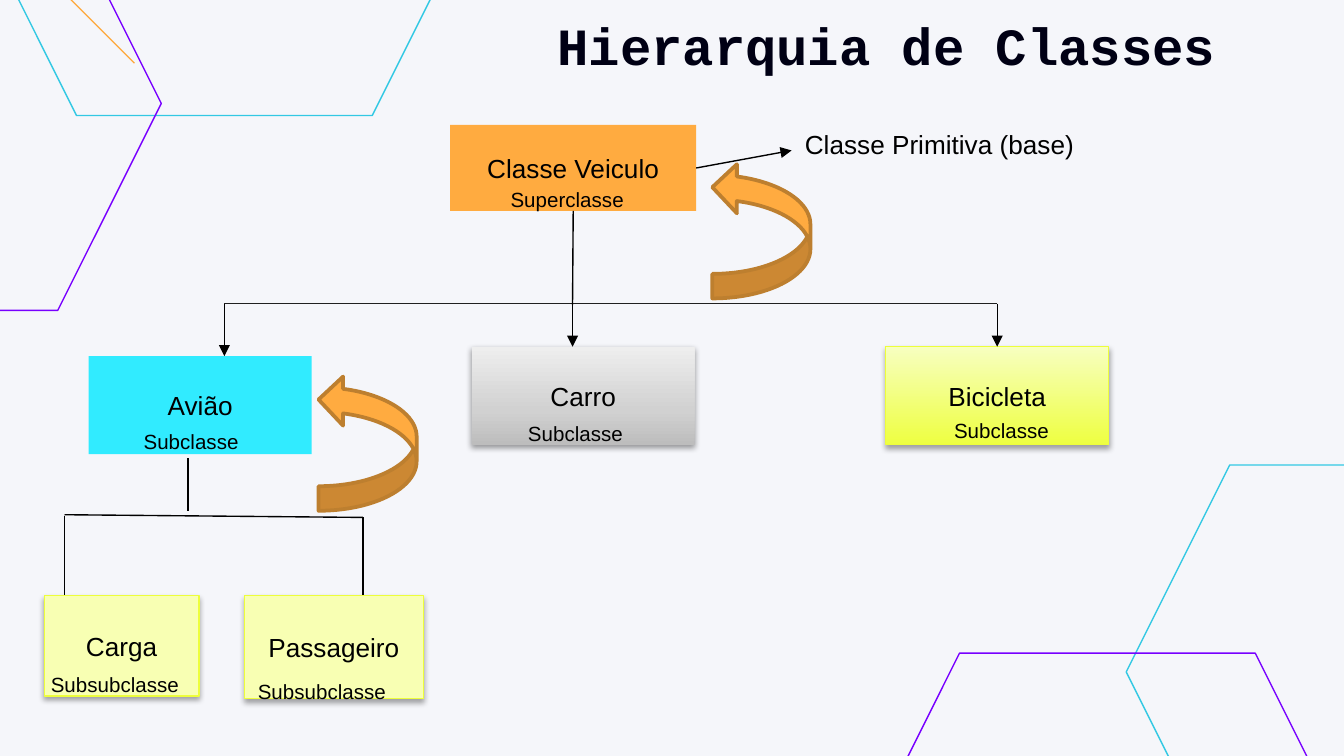
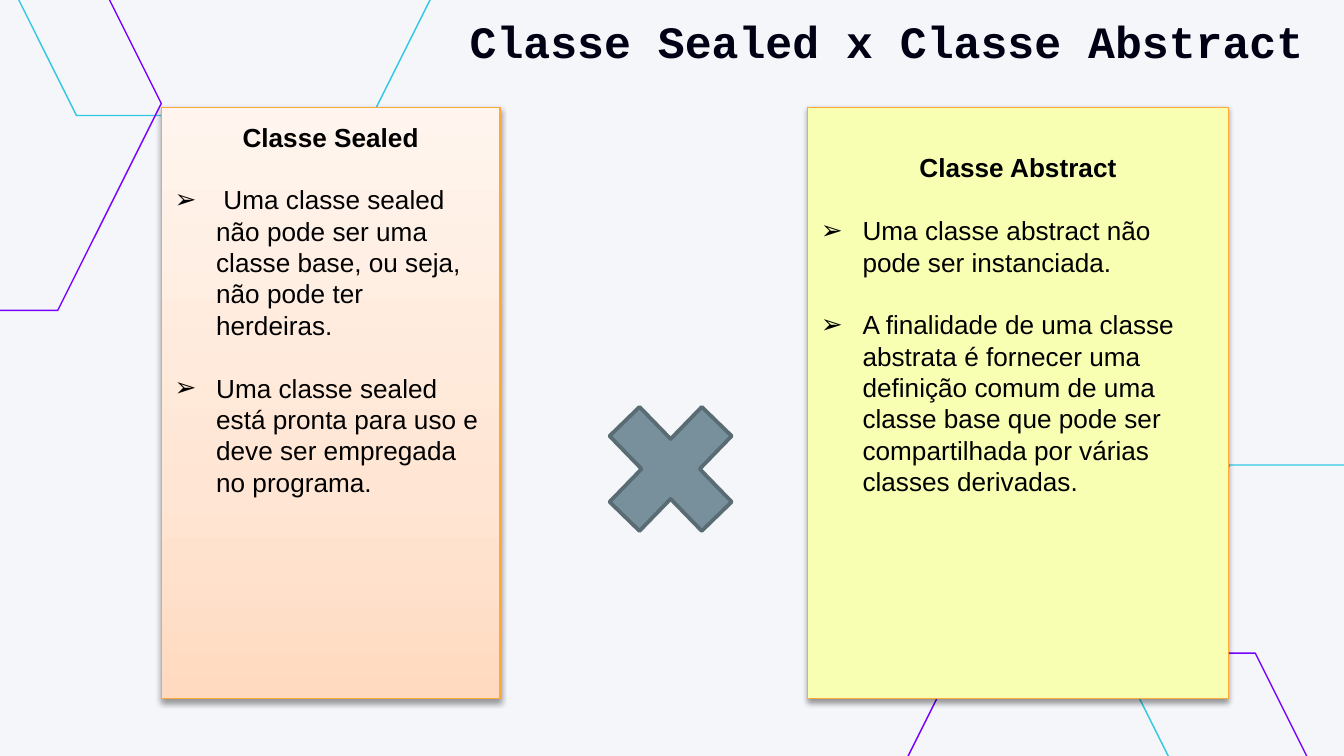
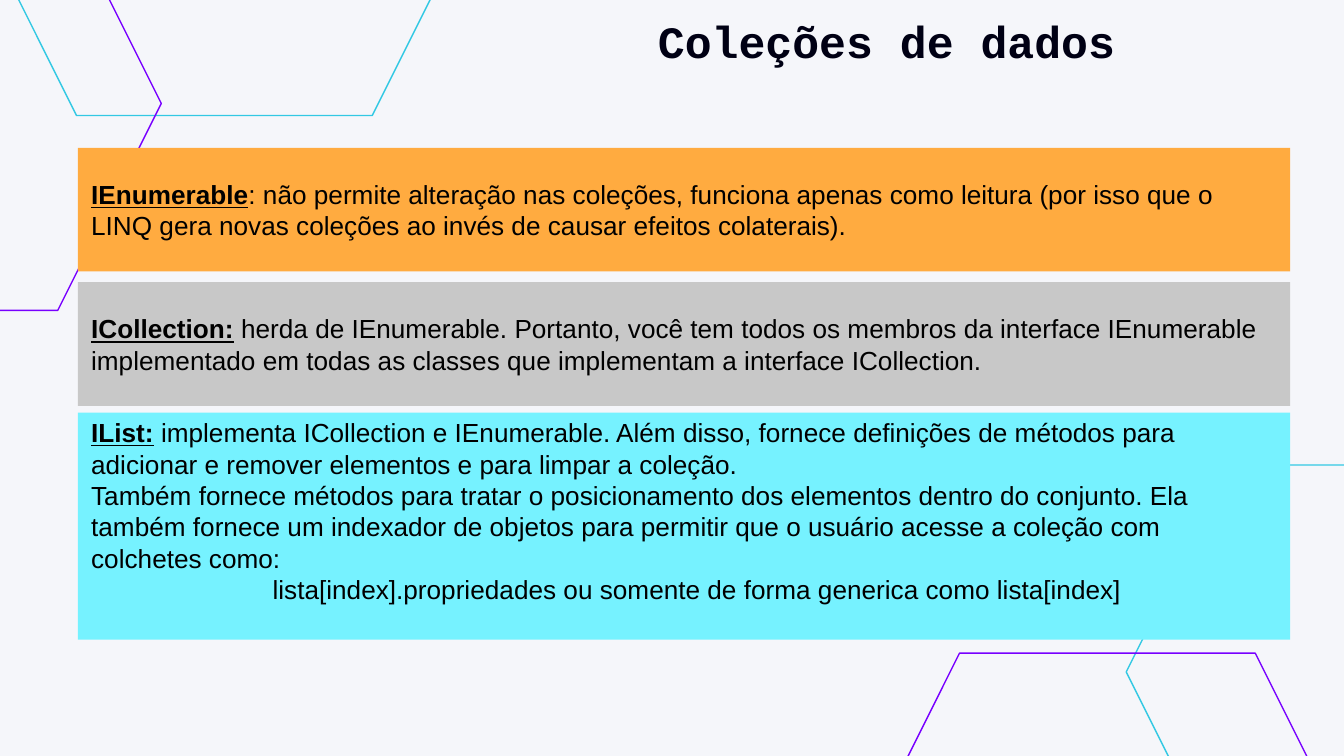
from dataclasses import dataclass

from lxml.etree import SubElement
from pptx import Presentation
from pptx.dml.color import RGBColor
from pptx.enum.shapes import MSO_CONNECTOR, MSO_SHAPE
from pptx.enum.text import MSO_ANCHOR, MSO_AUTO_SIZE, PP_ALIGN
from pptx.oxml.ns import qn
from pptx.shapes.autoshape import Shape
from pptx.shapes.connector import Connector
from pptx.slide import Slide
from pptx.util import Inches, Pt

COLORS = {
    "background": "F5F6FA", "title": "000014", "text": "000000",
    "cyan_line": "32C8E3", "purple_line": "7800FF", "orange_line": "FEA83A",
    "yellow_line": "EDFE3B", "branch": "202020", "orange": "FFAB40",
    "brown": "BD7F2F", "cyan": "31EBFF", "light_cyan": "76F2FF",
    "gray": "C8C8C8", "pale_yellow": "F8FFB3", "slate": "78909C",
    "dark_slate": "596B73",
}
GRADIENTS = {
    "silver": ((0, "BDBDBD"), (35, "D1D1D1"), (100, "EEEEEE")),
    "lime": ((0, "EEFF41"), (100, "F7FFC0")),
    "peach": ((0, "FFDAC0"), (35, "FFE5D3"), (100, "FFF5EE")),
}
BODY_FONT = "Arial"
TITLE_FONT = "Courier New"
BODY_SIZE = 14
LINE_PITCH = Pt(16.8)
ARROW_WIDTH, ARROW_HEIGHT = 0.73, 1.01


@dataclass(frozen=True)
class Shadow:
    """Opacity in percent and distance in points of a downward shadow."""
    opacity: int
    distance: float


STRONG = Shadow(38, 1.6)
SOFT = Shadow(35, 1.8)


@dataclass(frozen=True)
class Box:
    """A rectangle of the diagram or a text panel, in inches."""
    left: float
    top: float
    width: float
    height: float
    fill: str
    line: str | None = None
    shadow: Shadow | None = None
    text: str = ""


@dataclass(frozen=True)
class Label:
    """A small free text, in inches and points."""
    text: str
    left: float
    top: float
    width: float
    height: float = 0.29
    size: int = 11
    wraps: bool = False


@dataclass(frozen=True)
class Link:
    """A straight line, with optional joins written as (box name, side)."""
    start: tuple[float, float]
    end: tuple[float, float]
    color: str = "text"
    arrow: bool = False
    begin_join: tuple[str, int] | None = None
    end_join: tuple[str, int] | None = None


@dataclass(frozen=True)
class Entry:
    """A paragraph with an optional underlined lead."""
    text: str
    lead: str = ""
    indent: float = 0


@dataclass(frozen=True)
class Panel:
    """A comparison panel with heading and bullets."""
    box: Box
    heading: str
    bullets: tuple[str, ...]
    top_inset: float


@dataclass(frozen=True)
class Band:
    """A full-width description; a top inset anchors its text at the top."""
    box: Box
    entries: tuple[Entry, ...]
    top_inset: float | None = None


HEXAGONS = (
    (8.38, 3.46, "cyan_line"), (6.37, 4.86, "purple_line"),
    (-0.2, -2.22, "cyan_line"), (-2.54, -0.77, "purple_line"),
)
CLASSES = (
    Box(3.35, 0.93, 1.83, 0.64, "orange", text="Classe Veiculo"),
    Box(0.66, 2.65, 1.66, 0.73, "cyan", text="Avião"),
    Box(3.51, 2.58, 1.66, 0.73, "silver", None, STRONG, "Carro"),
    Box(6.59, 2.58, 1.66, 0.73, "lime", "yellow_line", SOFT, "Bicicleta"),
    Box(0.33, 4.43, 1.15, 0.75, "pale_yellow", "yellow_line", SOFT, "Carga"),
    Box(1.82, 4.43, 1.33, 0.77, "pale_yellow", "yellow_line", SOFT, "Passageiro"),
)
LINKS = (
    Link((0, -0.53), (1, 0.47), "orange_line"),
    Link((1.67, 2.26), (7.42, 2.26), "branch"),
    Link((4.26, 1.57), (4.26, 2.27), begin_join=("Classe Veiculo", 2)),
    Link((1.67, 2.26), (1.67, 2.65), arrow=True),
    Link((4.26, 2.27), (4.26, 2.58), arrow=True),
    Link((7.42, 2.26), (7.42, 2.58), arrow=True, end_join=("Bicicleta", 0)),
    Link((5.18, 1.25), (5.89, 1.12), arrow=True, begin_join=("Classe Veiculo", 3)),
    Link((0.48, 3.83), (2.7, 3.85)),
    Link((1.4, 3.41), (1.4, 3.8)),
    Link((2.7, 3.85), (2.7, 4.43)),
    Link((0.48, 3.84), (0.48, 4.43)),
)
LABELS = (
    Label("Classe Primitiva (base)", 5.89, 0.91, 2.22, 0.34, BODY_SIZE),
    Label("Superclasse", 3.7, 1.34, 1.05),
    Label("Subclasse", 0.97, 3.14, 0.92),
    Label("Subclasse", 3.83, 3.08, 0.92),
    Label("Subclasse", 7, 3.06, 0.92),
    Label("Subsubclasse", 0.28, 4.95, 1.27, wraps=True),
    Label("Subsubclasse", 1.82, 5, 1.27, wraps=True),
)
INHERITANCE_ARROWS = ((2.37, 2.79), (5.3, 1.21))
PANELS = (
    Panel(Box(1.2, 0.8, 2.52, 4.4, "peach", "orange_line", STRONG), "Classe Sealed", (
        " Uma classe sealed não pode ser uma classe base, ou seja, não pode ter herdeiras.",
        "Uma classe sealed está pronta para uso e deve ser empregada no programa.",
    ), 0.1),
    Panel(Box(6.01, 0.8, 3.13, 4.4, "pale_yellow", "orange_line", STRONG), "Classe Abstract", (
        "Uma classe abstract não pode ser instanciada.",
        "A finalidade de uma classe abstrata é fornecer uma definição comum de uma classe "
        "base que pode ser compartilhada por várias classes derivadas.",
    ), 0.33),
)
BANDS = (
    Band(Box(0.58, 1.1, 9.02, 0.92, "orange"), (
        Entry(": não permite alteração nas coleções, funciona apenas como leitura (por isso "
              "que o LINQ gera novas coleções ao invés de causar efeitos colaterais).",
              "IEnumerable"),
    )),
    Band(Box(0.58, 2.1, 9.02, 0.92, "gray"), (
        Entry(" herda de IEnumerable. Portanto, você tem todos os membros da interface "
              "IEnumerable implementado em todas as classes que implementam a interface "
              "ICollection.", "ICollection:"),
    )),
    Band(Box(0.58, 3.07, 9.02, 1.69, "light_cyan"), (
        Entry(" implementa ICollection e IEnumerable. Além disso, fornece definições de "
              "métodos para adicionar e remover elementos e para limpar a coleção.", "IList:"),
        Entry("Também fornece métodos para tratar o posicionamento dos elementos dentro do "
              "conjunto. Ela também fornece um indexador de objetos para permitir que o "
              "usuário acesse a coleção com colchetes como:"),
        Entry("lista[index].propriedades ou somente de forma generica como lista[index]",
              indent=1.35),
    ), 0.03),
)


def rgb(name: str) -> RGBColor:
    """Look up a named colour."""
    return RGBColor.from_string(COLORS[name])


def style_span(span, size: float = BODY_SIZE, font: str = BODY_FONT, color: str = "text",
               bold: bool = False, underline: bool = False) -> None:
    """Format one run of text."""
    span.font.name = font
    span.font.size = Pt(size)
    span.font.bold = bold
    span.font.underline = underline
    span.font.color.rgb = rgb(color)


def paint_gradient(shape: Shape, stops: tuple) -> None:
    """Fill a shape with a gradient rising from the bottom."""
    shape.fill.background()
    empty_fill = shape.fill._xPr.find(qn("a:noFill"))
    gradient = SubElement(empty_fill.getparent(), qn("a:gradFill"), rotWithShape="1")
    stop_list = SubElement(gradient, qn("a:gsLst"))
    for percent, color in stops:
        stop = SubElement(stop_list, qn("a:gs"), pos=str(percent * 1000))
        SubElement(stop, qn("a:srgbClr"), val=color)
    SubElement(gradient, qn("a:lin"), ang="16200000", scaled="0")
    empty_fill.getparent().replace(empty_fill, gradient)


def add_shadow(shape: Shape, shadow: Shadow) -> None:
    """Cast a soft black shadow downwards."""
    effects = shape._element.spPr.find(qn("a:effectLst"))
    outer = SubElement(effects, qn("a:outerShdw"), blurRad=str(Pt(3.1)),
                       dist=str(Pt(shadow.distance)), dir="5400000", rotWithShape="0")
    black = SubElement(outer, qn("a:srgbClr"), val=COLORS["text"])
    SubElement(black, qn("a:alpha"), val=str(shadow.opacity * 1000))


def draw_shape(page: Slide, preset: MSO_SHAPE, box: Box, line_width: float = 0.75) -> Shape:
    """Draw a preset shape with the fill, line and shadow of its box."""
    shape = page.shapes.add_shape(preset, Inches(box.left), Inches(box.top),
                                  Inches(box.width), Inches(box.height))
    shape.shadow.inherit = False
    if box.fill in GRADIENTS:
        paint_gradient(shape, GRADIENTS[box.fill])
    elif box.fill:
        shape.fill.solid()
        shape.fill.fore_color.rgb = rgb(box.fill)
    else:
        shape.fill.background()
    if box.line:
        shape.line.color.rgb = rgb(box.line)
        shape.line.width = Pt(line_width)
    else:
        shape.line.fill.background()
    if box.shadow:
        add_shadow(shape, box.shadow)
    return shape


def draw_class(page: Slide, box: Box) -> Shape:
    """Draw a class rectangle with its centred name."""
    shape = draw_shape(page, MSO_SHAPE.RECTANGLE, box)
    shape.text_frame.text = box.text
    shape.text_frame.vertical_anchor = MSO_ANCHOR.MIDDLE
    para = shape.text_frame.paragraphs[0]
    para.alignment = PP_ALIGN.CENTER
    style_span(para.runs[0])
    return shape


def draw_link(page: Slide, link: Link, classes: dict[str, Shape]) -> Connector:
    """Draw a line, its arrowhead and its joins."""
    connector = page.shapes.add_connector(
        MSO_CONNECTOR.STRAIGHT, *(Inches(value) for value in link.start + link.end))
    connector.line.color.rgb = rgb(link.color)
    connector.line.width = Pt(0.75)
    if link.arrow:
        SubElement(connector.line._get_or_add_ln(), qn("a:tailEnd"), type="triangle")
    SubElement(connector._element.spPr, qn("a:effectLst"))
    if link.begin_join:
        name, side = link.begin_join
        connector.begin_connect(classes[name], side)
    if link.end_join:
        name, side = link.end_join
        connector.end_connect(classes[name], side)
    return connector


def draw_label(page: Slide, label: Label) -> None:
    """Write a small free text."""
    box = page.shapes.add_textbox(Inches(label.left), Inches(label.top),
                                  Inches(label.width), Inches(label.height))
    box.text_frame.text = label.text
    box.text_frame.word_wrap = label.wraps
    box.text_frame.auto_size = MSO_AUTO_SIZE.SHAPE_TO_FIT_TEXT
    style_span(box.text_frame.paragraphs[0].runs[0], label.size)


def add_bullet(para) -> None:
    """Give a paragraph a hanging arrow bullet."""
    properties = para._p.get_or_add_pPr()
    properties.set("marL", str(Inches(0.31)))
    properties.set("indent", str(Inches(-0.31)))
    color = SubElement(properties, qn("a:buClr"))
    SubElement(color, qn("a:srgbClr"), val=COLORS["text"])
    SubElement(properties, qn("a:buFont"), typeface=BODY_FONT)
    SubElement(properties, qn("a:buChar"), char="➢")


def draw_panel(page: Slide, panel: Panel) -> None:
    """Draw a panel with a centred heading over spaced bullets."""
    frame = draw_shape(page, MSO_SHAPE.RECTANGLE, panel.box).text_frame
    frame.text = "\n".join((panel.heading, *panel.bullets))
    frame.vertical_anchor = MSO_ANCHOR.TOP
    frame.margin_top = Inches(panel.top_inset)
    for index, para in enumerate(frame.paragraphs):
        is_heading = index == 0
        para.alignment = PP_ALIGN.CENTER if is_heading else PP_ALIGN.LEFT
        para.line_spacing = para.space_after = LINE_PITCH
        style_span(para.runs[0], bold=is_heading)
        if not is_heading:
            add_bullet(para)


def draw_band(page: Slide, band: Band) -> None:
    """Draw a coloured band with its description."""
    frame = draw_shape(page, MSO_SHAPE.RECTANGLE, band.box).text_frame
    frame.vertical_anchor = MSO_ANCHOR.MIDDLE
    if band.top_inset is not None:
        frame.vertical_anchor = MSO_ANCHOR.TOP
        frame.margin_top = Inches(band.top_inset)
    frame.text = "\n".join(entry.lead or entry.text for entry in band.entries)
    for para, entry in zip(frame.paragraphs, band.entries):
        para.alignment = PP_ALIGN.LEFT
        para.line_spacing = LINE_PITCH
        has_lead = bool(entry.lead)
        style_span(para.runs[0], bold=has_lead, underline=has_lead)
        if has_lead:
            rest = para.add_run()
            rest.text = entry.text
            style_span(rest)
        if entry.indent:
            para._p.get_or_add_pPr().set("marL", str(Inches(entry.indent)))


def add_page(deck, title: str, title_size: int) -> Slide:
    """Add a slide with the shared background, hexagons and title."""
    page = deck.slides.add_slide(deck.slide_layouts[5])
    page.background.fill.solid()
    page.background.fill.fore_color.rgb = rgb("background")
    for left, top, color in HEXAGONS:
        draw_shape(page, MSO_SHAPE.HEXAGON, Box(left, top, 3.74, 3.08, "", color))
    box = page.shapes.title
    box.left, box.top, box.width, box.height = (
        Inches(value) for value in (3.19, 0, 6.81, 0.54))
    frame = box.text_frame
    frame.text = title
    frame.word_wrap = True
    frame.auto_size = MSO_AUTO_SIZE.NONE
    frame.vertical_anchor = MSO_ANCHOR.TOP
    frame.margin_left = frame.margin_right = Inches(0.1)
    frame.margin_top = frame.margin_bottom = Inches(0.1)
    para = frame.paragraphs[0]
    para.alignment = PP_ALIGN.CENTER
    style_span(para.runs[0], title_size, TITLE_FONT, "title", bold=True)
    return page


def build_hierarchy(deck) -> None:
    """Build the class hierarchy diagram."""
    page = add_page(deck, "Hierarquia de Classes", 28)
    classes = {box.text: draw_class(page, box) for box in CLASSES}
    for link in LINKS:
        draw_link(page, link, classes)
    for label in LABELS:
        draw_label(page, label)
    for left, top in INHERITANCE_ARROWS:
        arrow = draw_shape(page, MSO_SHAPE.CURVED_RIGHT_ARROW,
                           Box(left, top, ARROW_WIDTH, ARROW_HEIGHT, "orange", "brown"), 2)
        arrow.rotation = 180


def build_comparison(deck) -> None:
    """Build the sealed and abstract comparison."""
    page = add_page(deck, "Classe Sealed x Classe Abstract", 24)
    for panel in PANELS:
        draw_panel(page, panel)
    draw_shape(page, MSO_SHAPE.MATH_MULTIPLY,
               Box(4.33, 2.81, 1.32, 1.36, "slate", "dark_slate"), 2)


def build_collections(deck) -> None:
    """Build the collection interface descriptions."""
    page = add_page(deck, "Coleções de dados", 24)
    for band in BANDS:
        draw_band(page, band)


def main() -> None:
    """Build and save the deck."""
    deck = Presentation()
    deck.slide_width = Inches(10)
    deck.slide_height = deck.slide_width * 9 // 16
    build_hierarchy(deck)
    build_comparison(deck)
    build_collections(deck)
    deck.save("out.pptx")


if __name__ == "__main__":
    main()
